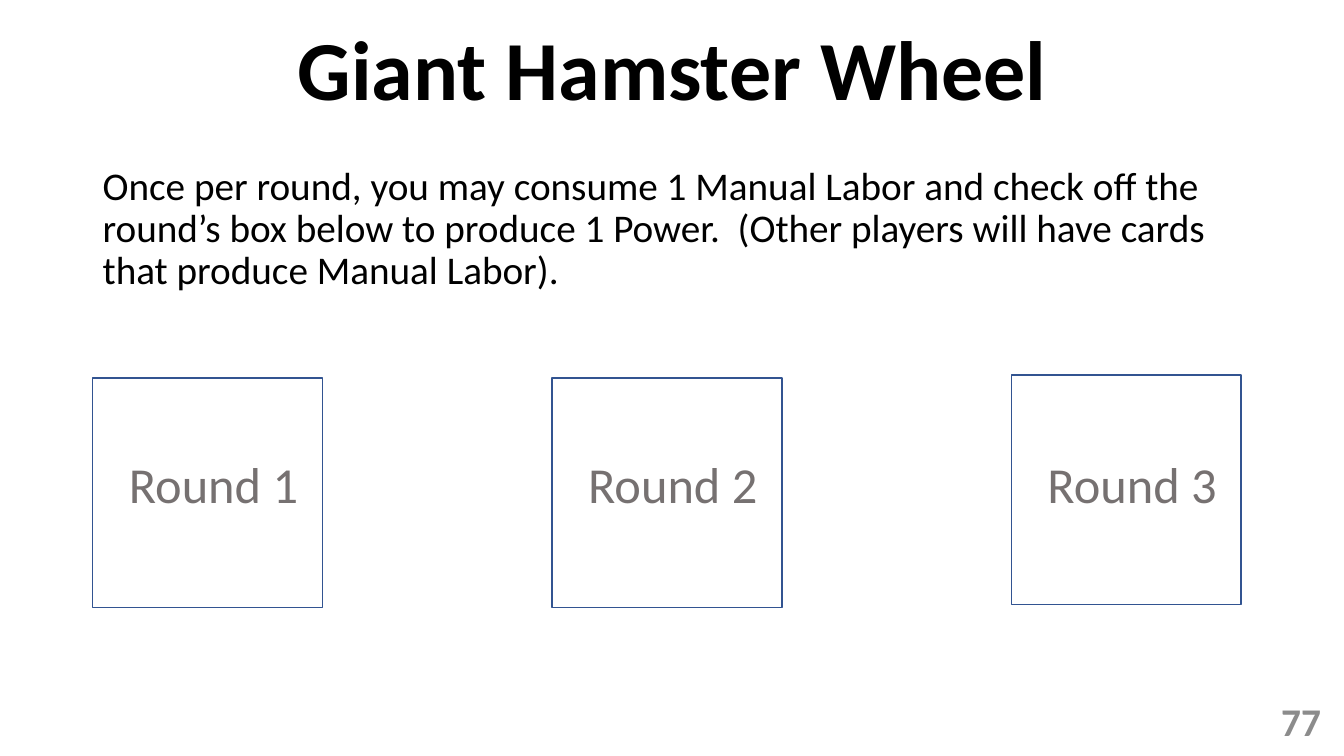
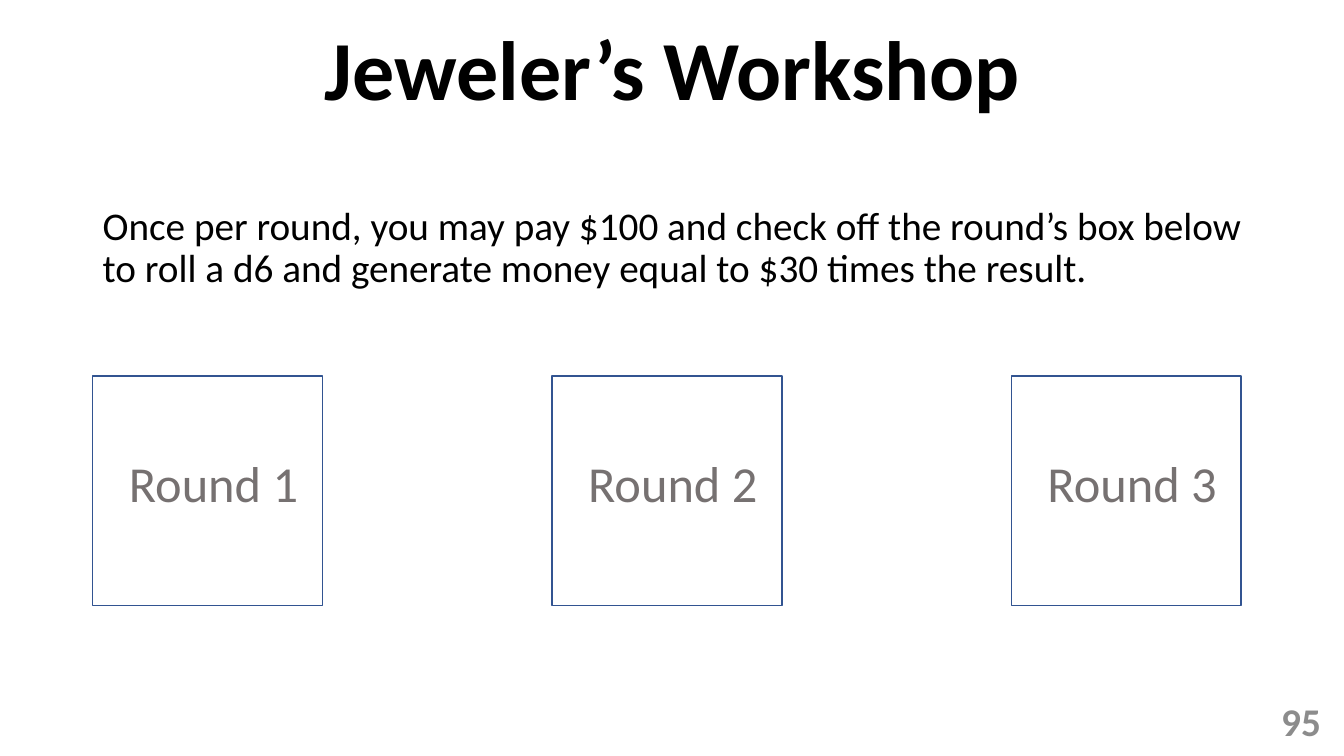
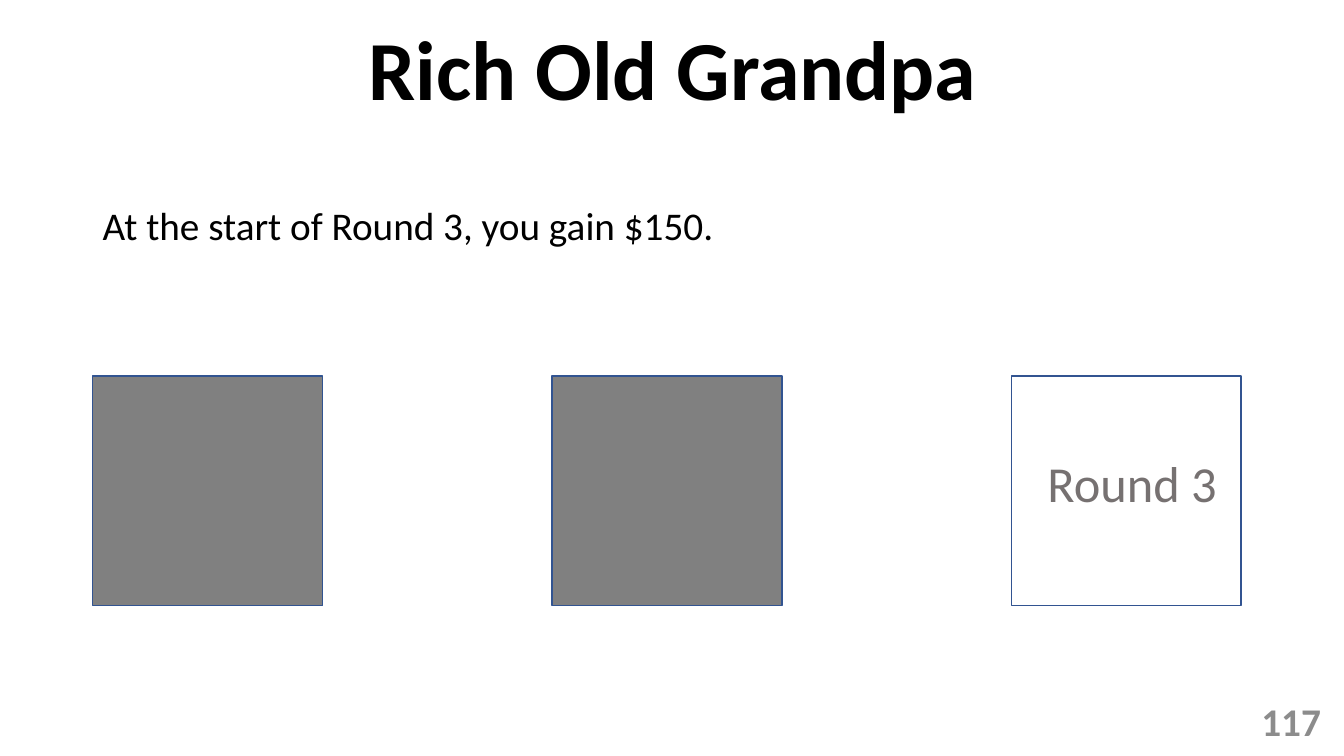
from pptx import Presentation
from pptx.dml.color import RGBColor
from pptx.enum.shapes import MSO_SHAPE as SHAPE
from pptx.enum.text import MSO_ANCHOR as ANCHOR, MSO_AUTO_SIZE as AUTO, PP_ALIGN as ALIGN
from pptx.util import Emu, Pt

EMU_PER_PX = 9144
FONT = "Calibri"
BLACK, WHITE = "000000", "FFFFFF"
BORDER, CLOSED = "325491", "808080"
LABEL, NUMBER = "767171", "8C8C8C"
LEFT, CONTENT_W = 92, 1150
BOX, BOX_STEP = 228, 455.5
LABEL_INSET = 26

CARDS = [
    dict(
        title="Giant Hamster Wheel",
        rule="Once per round, you may consume 1 Manual Labor and check off the round’s box below "
             "to produce 1 Power.  (Other players will have cards that produce Manual Labor).",
        rule_top=160, box_tops=(375, 375, 372), label_top=445, open_rounds=(1, 2, 3), number=77,
    ),
    dict(
        title="Jeweler’s Workshop",
        rule="Once per round, you may pay $100 and check off the round’s box below "
             "to roll a d6 and generate money equal to $30 times the result.",
        rule_top=200, box_tops=(373, 373, 373), label_top=444, open_rounds=(1, 2, 3), number=95,
    ),
    dict(
        title="Rich Old Grandpa",
        rule="At the start of Round 3, you gain $150.",
        rule_top=200, box_tops=(373, 373, 373), label_top=444, open_rounds=(3,), number=117,
    ),
]


def px(n):
    """Turn pixels into EMU."""
    return Emu(round(n * EMU_PER_PX))


def rgb(value):
    """Turn a hex string into a colour."""
    return RGBColor.from_string(value)


def add_text(s, text, x, y, w, h, size, color=BLACK, bold=False, align=ALIGN.LEFT,
             anchor=ANCHOR.TOP, line_spacing=None, space_before=None, grow=False):
    """Add a wrapped text box with one formatted paragraph."""
    sp = s.shapes.add_textbox(px(x), px(y), px(w), px(h))
    tf = sp.text_frame
    tf.word_wrap = True
    tf.vertical_anchor = anchor
    tf.auto_size = AUTO.SHAPE_TO_FIT_TEXT if grow else AUTO.NONE
    p = tf.paragraphs[0]
    p.alignment = align
    p.line_spacing = line_spacing
    if space_before is not None:
        p.space_before = Pt(space_before)
    r = p.add_run()
    r.text = text
    r.font.name = FONT
    r.font.size = Pt(size)
    r.font.bold = bold
    r.font.color.rgb = rgb(color)
    return sp


def add_box(s, x, y, fill):
    """Add one square check box."""
    sp = s.shapes.add_shape(SHAPE.RECTANGLE, px(x), px(y), px(BOX), px(BOX))
    sp.shadow.inherit = False
    sp.fill.solid()
    sp.fill.fore_color.rgb = rgb(fill)
    sp.line.color.rgb = rgb(BORDER)
    sp.line.width = Pt(1)
    return sp


def add_rounds(s, box_tops, label_top, open_rounds):
    """Add the row of boxes, labelling the open rounds and greying the others."""
    for i, top in enumerate(box_tops):
        x = LEFT + i * BOX_STEP
        is_open = i + 1 in open_rounds
        add_box(s, x, top, WHITE if is_open else CLOSED)
        if is_open:
            add_text(s, f"Round {i + 1}", x + LABEL_INSET, label_top, BOX - LABEL_INSET, 71,
                     size=36, color=LABEL, grow=True)


def add_card(prs, title, rule, rule_top, box_tops, label_top, open_rounds, number):
    """Add one card slide."""
    s = prs.slides.add_slide(prs.slide_layouts[6])
    add_text(s, title, LEFT, 0, CONTENT_W, 145, size=60, bold=True,
             align=ALIGN.CENTER, anchor=ANCHOR.MIDDLE, line_spacing=0.9)
    add_text(s, rule, LEFT, rule_top, CONTENT_W, 154, size=28, line_spacing=0.9, space_before=10)
    add_rounds(s, box_tops, label_top, open_rounds)
    add_text(s, str(number), 1020, 695, 300, 40, size=28, color=NUMBER, bold=True,
             align=ALIGN.RIGHT, anchor=ANCHOR.MIDDLE)


def main():
    """Build and save the deck."""
    prs = Presentation()
    prs.slide_width, prs.slide_height = px(1333), px(750)
    for card in CARDS:
        add_card(prs, **card)
    prs.save("out.pptx")


if __name__ == "__main__":
    main()
